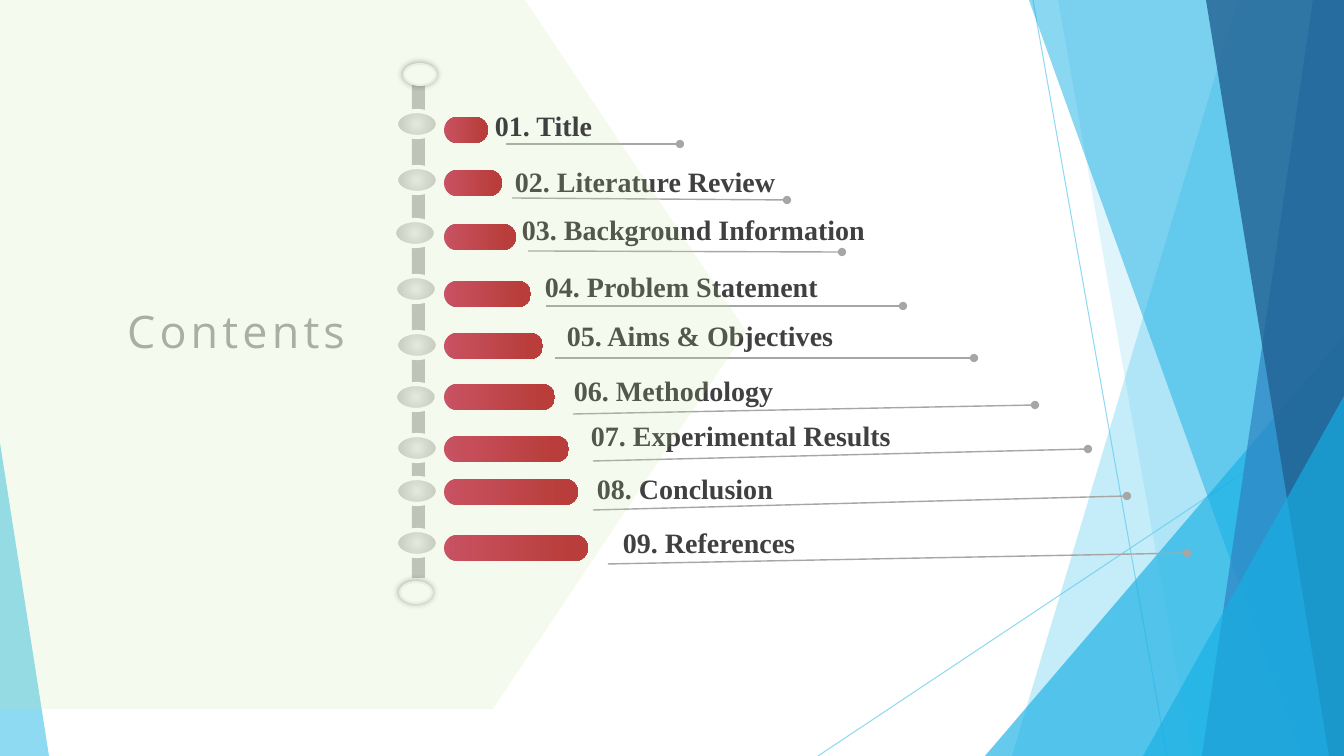
from lxml import etree
from pptx import Presentation
from pptx.dml.color import RGBColor
from pptx.enum.shapes import MSO_CONNECTOR, MSO_SHAPE
from pptx.enum.text import MSO_ANCHOR, MSO_AUTO_SIZE, PP_ALIGN
from pptx.oxml import parse_xml
from pptx.oxml.ns import qn
from pptx.util import Pt

PX = 914400 / 100.8
NS = 'xmlns:a="http://schemas.openxmlformats.org/drawingml/2006/main"'
STRAIGHT = MSO_CONNECTOR.STRAIGHT
TRIANGLE = MSO_SHAPE.ISOSCELES_TRIANGLE
ROUNDED = MSO_SHAPE.ROUNDED_RECTANGLE
RECT = MSO_SHAPE.RECTANGLE
OVAL = MSO_SHAPE.OVAL
TOP = MSO_ANCHOR.TOP
LEFT = PP_ALIGN.LEFT
NO_FIT = MSO_AUTO_SIZE.NONE

COLORS = {
    "sky": "5FCBEF", "cyan": "17B0E4", "blue": "2E83C3", "navy": "226292",
    "rose": "CB395C", "red": "B8222D", "rod": "BFBFBF", "silver": "EBEBEB",
    "rim": "F2F2F2", "white": "FFFFFF", "grey": "A6A6A6", "text": "404040",
    "green": "C0E38D",
}


def px(n):
    return round(n * PX)


def rgb(name):
    return RGBColor.from_string(COLORS[name])


class Deck:
    def __init__(self):
        self.prs = Presentation()
        self.prs.slide_width, self.prs.slide_height = px(1344), px(756)
        self.s = self.prs.slides.add_slide(self.prs.slide_layouts[5])

    def alpha(self, sp, percent):
        for clr in sp._element.spPr.iter(qn("a:srgbClr")):
            etree.SubElement(clr, qn("a:alpha")).set("val", str(percent * 1000))

    def paint(self, sp, color, alpha=100):
        sp.shadow.inherit = False
        sp.fill.solid()
        sp.fill.fore_color.rgb = rgb(color)
        if alpha < 100:
            self.alpha(sp, alpha)
        sp.line.fill.background()
        return sp

    def shape(self, kind, x, y, w, h, color, alpha=100, adj=None):
        sp = self.s.shapes.add_shape(kind, px(x), px(y), px(w), px(h))
        if adj is not None:
            sp.adjustments[0] = adj
        return self.paint(sp, color, alpha)

    def freeform(self, points, color, alpha):
        corners = [(px(x), px(y)) for x, y in points]
        builder = self.s.shapes.build_freeform(*corners[0], scale=1.0)
        builder.add_line_segments(corners[1:], close=True)
        return self.paint(builder.convert_to_shape(), color, alpha)

    def gradient(self, sp, first, last, end=1.0, radial=False):
        sp.fill.gradient()
        sp.fill.gradient_angle = 0
        for stop, color, pos in zip(sp.fill.gradient_stops, (first, last), (0, end)):
            stop.color.rgb = rgb(color)
            stop.position = pos
        if radial:
            lin = sp._element.spPr.find(".//" + qn("a:lin"))
            lin.getparent().replace(lin, parse_xml(
                f'<a:path {NS} path="circle"><a:fillToRect l="50000" t="50000" '
                'r="50000" b="50000"/></a:path>'))

    def outline(self, sp, color, width):
        sp.line.color.rgb = rgb(color)
        sp.line.width = Pt(width)

    def glow(self, sp):
        sp._element.spPr.find(qn("a:effectLst")).append(parse_xml(
            f'<a:outerShdw {NS} blurRad="63500" dist="0" dir="0">'
            '<a:srgbClr val="000000"><a:alpha val="40000"/></a:srgbClr>'
            '</a:outerShdw>'))

    def line(self, x1, y1, x2, y2, color, width, alpha=100, dot=False):
        c = self.s.shapes.add_connector(STRAIGHT, px(x1), px(y1), px(x2), px(y2))
        self.outline(c, color, width)
        if alpha < 100:
            self.alpha(c, alpha)
        spPr = c._element.spPr
        if dot:
            etree.SubElement(spPr.find(qn("a:ln")), qn("a:tailEnd")).set("type", "oval")
        etree.SubElement(spPr, qn("a:effectLst"))

    def set_text(self, sp, text, size, font, color, bold=False):
        tf = sp.text_frame
        tf.text = text
        tf.word_wrap = True
        tf.auto_size = NO_FIT
        tf.vertical_anchor = TOP
        p = tf.paragraphs[0]
        p.alignment = LEFT
        p.font.size, p.font.name, p.font.bold = Pt(size), font, bold
        p.font.color.rgb = rgb(color)
        return p

    def title(self, text, x, y, w, h):
        sp = self.s.shapes.title
        sp.left, sp.top, sp.width, sp.height = px(x), px(y), px(w), px(h)
        p = self.set_text(sp, text, 32, "Open Sans", "grey")
        p.runs[0]._r.get_or_add_rPr().set("spc", "300")

    def label(self, text, x, y, w):
        sp = self.s.shapes.add_textbox(px(x), px(y), px(w), px(44))
        self.set_text(sp, text, 20, "Times New Roman", "text", True)


RAYS = [(1033, 0, 1167, 756), (1344, 406, 818, 756)]
FACETS = [
    ([(1238, 0), (1344, 0), (1344, 756), (1012, 756)], "sky", 36),
    ([(1058, 0), (1344, 0), (1344, 756), (1192, 756)], "sky", 20),
    (985, 336, 359, 420, "cyan", 66, 1),
    ([(1029, 0), (1344, 0), (1344, 756), (1301, 756)], "cyan", 50),
    ([(1313, 0), (1344, 0), (1344, 756), (1202, 756)], "blue", 70),
    ([(1206, 0), (1344, 0), (1344, 756), (1329, 756)], "navy", 80),
    (1143, 396, 201, 360, "cyan", 66, 1),
    (0, 443, 49, 313, "sky", 70, 0),
]
BACKDROP = [(0, 0), (525, 0), (746, 331), (493, 709), (0, 709)]
ENTRIES = [
    ("01. Title", (485, 104, 191), (130, 44), (396, 111), (506, 144, 680, 144)),
    ("02. Literature Review", (505, 160, 353), (183, 58), (396, 167), (512, 198, 787, 200)),
    ("03. Background Information", (512, 208, 419), (237, 72), (394, 220), (528, 251, 842, 252)),
    ("04. Problem Statement", (535, 265, 483), (294, 87), (395, 276), (546, 306, 903, 306)),
    ("05. Aims & Objectives", (557, 314, 300), (346, 99), (396, 332), (555, 358, 974, 358)),
    ("06. Methodology", (564, 369, 483), (397, 111), (395, 384), (573, 414, 1035, 405)),
    ("07. Experimental Results", (581, 414, 339), (449, 125), (396, 435), (593, 461, 1088, 449)),
    ("08. Conclusion", (587, 467, 286), (492, 134), (396, 478), (593, 510, 1127, 496)),
    ("09. References", (613, 521, 286), (548, 144), (396, 530), (608, 564, 1187, 553)),
]


def main():
    d = Deck()
    d.title("Contents", 117, 299, 246, 65)
    for ray in RAYS:
        d.line(*ray, "sky", 0.75, alpha=70)
    for facet in FACETS:
        if len(facet) == 3:
            d.freeform(*facet)
        else:
            d.shape(TRIANGLE, *facet)

    d.shape(RECT, 412, 84, 13, 494, "rod")
    for x, y in ((404, 64), (400, 582)):
        ring = d.shape(OVAL, x, y, 32, 21, "white")
        d.outline(ring, "rim", 1.5)
        d.glow(ring)

    for name, box, (middle, width), bead_at, underline in ENTRIES:
        bar = d.shape(ROUNDED, 444, middle - 13, width, 26, "red", adj=0.5)
        d.gradient(bar, "rose", "red", end=0.87)
        bead = d.shape(OVAL, *bead_at, 42, 26, "rod")
        d.gradient(bead, "silver", "rod", radial=True)
        d.outline(bead, "white", 3)
        d.line(*underline, "grey", 1, dot=True)
        if name != ENTRIES[0][0]:
            d.label(name, *box)

    d.freeform(BACKDROP, "green", 15)
    d.label(ENTRIES[0][0], *ENTRIES[0][1])
    d.prs.save("out.pptx")


if __name__ == "__main__":
    main()
